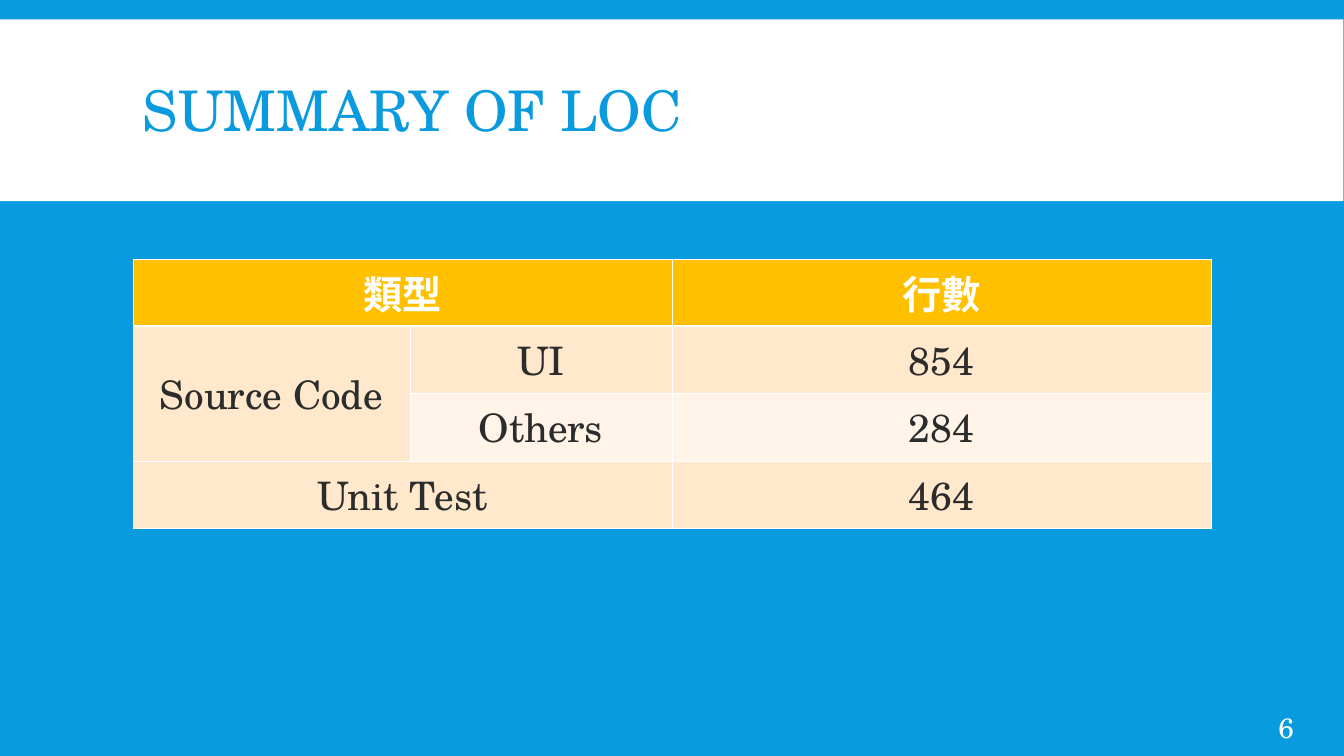
from lxml.etree import SubElement
from pptx import Presentation
from pptx.dml.color import RGBColor
from pptx.enum.shapes import MSO_SHAPE as Shape
from pptx.enum.text import MSO_ANCHOR as Anchor, MSO_AUTO_SIZE as Fit, PP_ALIGN as Align
from pptx.oxml.ns import qn
from pptx.util import Pt

FONT = "TeX Gyre Schola"
COLORS = {
    "blue": "099BDD",
    "white": "FFFFFF",
    "gold": "FFC000",
    "peach": "FFE8CB",
    "cream": "FFF4E7",
    "ink": "2C2C2C",
}
ROWS = [
    ["類型", "", "行數"],
    ["Source Code", "UI", "854"],
    ["", "Others", "284"],
    ["Unit Test", "", "464"],
]
FILLS = ["gold", "peach", "cream", "peach"]
WIDTHS = [198, 187.2, 385.2]
MERGES = [((0, 0), (0, 1)), ((1, 0), (2, 0)), ((3, 0), (3, 1))]
LEFT, WIDTH = 95, sum(WIDTHS)


def rgb(name):
    return RGBColor.from_string(COLORS[name])


def paint(fill, color):
    fill.solid()
    fill.fore_color.rgb = rgb(color)


def write(frame, text, size, color, align=Align.LEFT, bold=False):
    frame.text = text
    para = frame.paragraphs[0]
    para.alignment = align
    font = para.font
    font.name, font.size, font.bold = FONT, Pt(size), bold
    font.color.rgb = rgb(color)
    return para


def add_band(slide):
    band = slide.shapes.add_shape(Shape.RECTANGLE, 0, Pt(13.8), Pt(960), Pt(129.8))
    band.shadow.inherit = False
    paint(band.fill, "white")
    band.line.fill.background()


def set_title(slide, text):
    title = slide.shapes.title
    title.left, title.top = Pt(LEFT), Pt(22.3)
    title.width, title.height = Pt(WIDTH), Pt(118.8)
    frame = title.text_frame
    frame.auto_size, frame.vertical_anchor = Fit.NONE, Anchor.MIDDLE
    write(frame, text, 40, "blue").line_spacing = 0.85
    # Bring the title in front of the band
    slide.shapes._spTree.append(title._element)


def edge(cell, side, width):
    props = cell._tc.get_or_add_tcPr()
    line = SubElement(props, qn(f"a:ln{side}"), w=str(Pt(width)))
    fill = SubElement(line, qn("a:solidFill"))
    SubElement(fill, qn("a:srgbClr"), val=COLORS["white"])


def style(cell, text, row):
    head = row == 0
    for side in "LRTB":
        thick = (row, side) in [(0, "B"), (1, "T")]
        edge(cell, side, 1.47 if thick else 0.45)
    paint(cell.fill, FILLS[row])
    cell.vertical_anchor = Anchor.MIDDLE
    write(cell.text_frame, text, 28, "white" if head else "ink", Align.CENTER, head)


def add_grid(slide):
    frame = slide.shapes.add_table(
        len(ROWS), len(WIDTHS), Pt(LEFT), Pt(185.2), Pt(WIDTH), Pt(163.2))
    table = frame.table
    for col, width in zip(table.columns, WIDTHS):
        col.width = Pt(width)
    for row, texts in enumerate(ROWS):
        for col, text in enumerate(texts):
            style(table.cell(row, col), text, row)
    for first, last in MERGES:
        table.cell(*first).merge(table.cell(*last))


def add_number(slide, text):
    box = slide.shapes.add_textbox(Pt(910), Pt(505.4), Pt(46), Pt(28.8))
    frame = box.text_frame
    frame.word_wrap, frame.vertical_anchor = True, Anchor.MIDDLE
    frame.margin_left = Pt(3.6)
    write(frame, text, 20, "white")


def main():
    deck = Presentation()
    deck.slide_width, deck.slide_height = Pt(960.5), Pt(540)
    slide = deck.slides.add_slide(deck.slide_layouts[5])
    paint(slide.background.fill, "blue")
    add_band(slide)
    set_title(slide, "SUMMARY OF LOC")
    add_grid(slide)
    add_number(slide, "6")
    deck.save("out.pptx")


if __name__ == "__main__":
    main()
